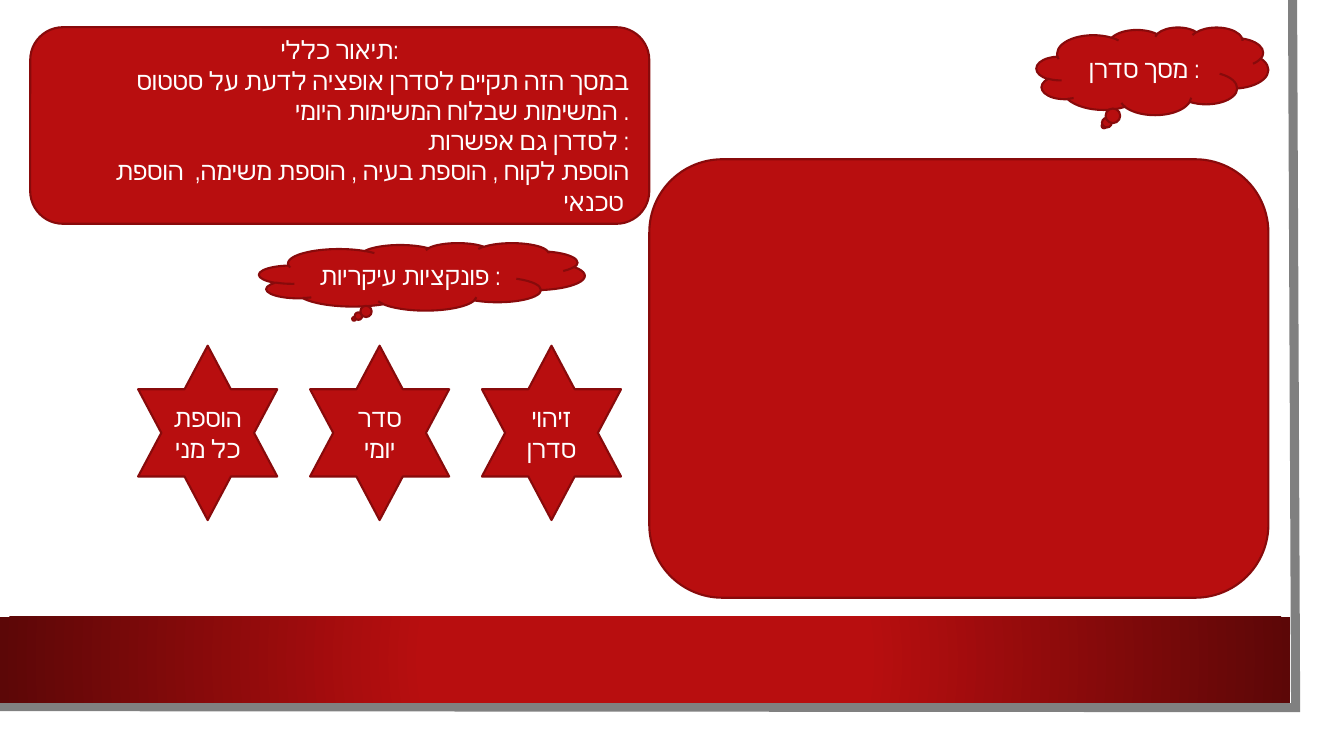
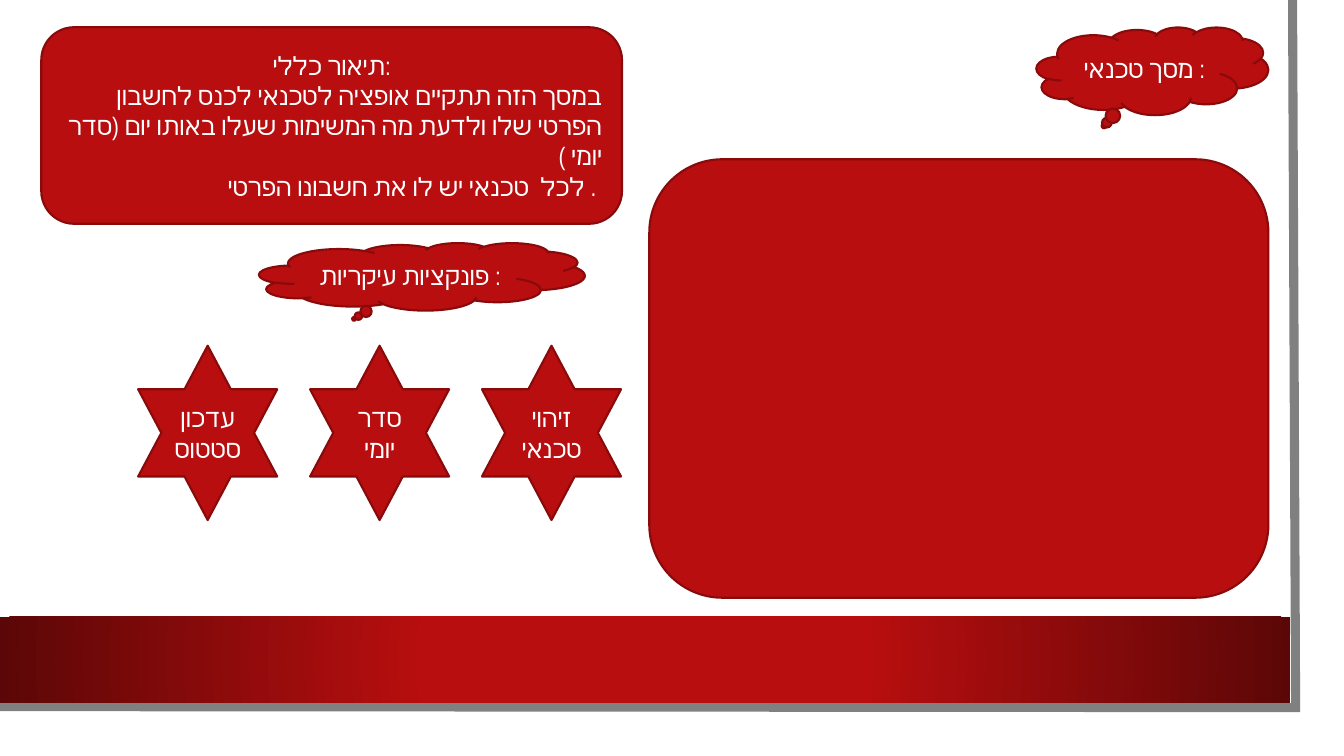
import pptx
import pptx.util
import pptx.dml.color
import pptx.enum.shapes
import pptx.enum.text
import pptx.oxml.ns
import lxml.etree

Inches = pptx.util.Inches
Pt = pptx.util.Pt
qn = pptx.oxml.ns.qn
KIND = pptx.enum.shapes.MSO_SHAPE
ALIGN = pptx.enum.text.PP_ALIGN

COLOR = {"red": "B80E0F", "edge": "880A0B", "dark": "5C0707",
         "gray": "808080", "white": "FFFFFF"}
FONT = {"name": "Arial Narrow", "size": Pt(18), "bold": False}
FRAME = {"word_wrap": True,
         "auto_size": pptx.enum.text.MSO_AUTO_SIZE.NONE,
         "vertical_anchor": pptx.enum.text.MSO_ANCHOR.MIDDLE}
PARA = {"space_before": Pt(0), "space_after": Pt(0), "line_spacing": 1.0}
BOX = {"title": (10.28, 0.27, 2.3, 0.87),
       "panel": (6.44, 1.58, 6.14, 4.35),
       "tasks": (2.57, 2.41, 3.23, 0.67),
       "stars": (1.37, 3.43, 4.79, 1.73),
       "band": (0, 6.12, 12.8, 0.85)}

SLIDES = [
    {"title": "מסך סדרן :",
     "box": (0.3, 0.27, 6.14, 1.95),
     "about": ["תיאור כללי:",
               "במסך הזה תקיים לסדרן אופציה לדעת על סטטוס המשימות שבלוח המשימות היומי .",
               "לסדרן גם אפשרות :",
               "הוספת לקוח , הוספת בעיה , הוספת משימה,  הוספת טכנאי "],
     "stars": [["זיהוי סדרן"], ["סדר", "יומי"], ["הוספת כל מני"]]},
    {"title": "מסך טכנאי :",
     "box": (0.41, 0.27, 5.76, 1.95),
     "about": ["תיאור כללי:",
               "במסך הזה תתקיים אופציה לטכנאי לכנס לחשבון הפרטי שלו ולדעת מה המשימות שעלו באותו יום (סדר יומי )",
               "לכל  טכנאי יש לו את חשבונו הפרטי . "],
     "stars": [["זיהוי טכנאי"], ["סדר", "יומי"], ["עדכון", "סטטוס"]]},
]


def rgb(name):
    return pptx.dml.color.RGBColor.from_string(COLOR[name])


def apply(item, values):
    for key, value in values.items():
        setattr(item, key, value)


def add_tag(parent, tag, **values):
    return lxml.etree.SubElement(parent, qn(tag), values)


def write(shape, lines, rest=ALIGN.CENTER):
    frame = shape.text_frame
    apply(frame, FRAME)
    frame.text = "\n".join(lines)
    for i, para in enumerate(frame.paragraphs):
        apply(para, PARA)
        para.alignment = rest if i else ALIGN.CENTER
        for run in para.runs:
            apply(run.font, FONT)
            run.font.color.rgb = rgb("white")
    for props in shape.element.iter(qn("a:rPr")):
        add_tag(props, "a:cs", typeface=FONT["name"])


def draw(slide, kind, box):
    shape = slide.shapes.add_shape(kind, *map(Inches, box))
    shape.shadow.inherit = False
    shape.fill.solid()
    shape.fill.fore_color.rgb = rgb("red")
    shape.line.color.rgb = rgb("edge")
    shape.line.width = Pt(1.5)
    return shape


def place(slide, holder, box):
    names = ("left", "top", "width", "height")
    apply(holder, dict(zip(names, map(Inches, box))))
    slide.shapes.element.append(holder.element)


def add_title(slide, box, text):
    draw(slide, KIND.CLOUD_CALLOUT, box)
    x, y, w, h = box
    title = slide.shapes.title
    place(slide, title, (x + 0.14 * w, y + 0.15 * h, 0.65 * w, 0.65 * h))
    write(title, [text])


def add_about(slide, box, lines):
    draw(slide, KIND.ROUNDED_RECTANGLE, box)
    x, y, w, h = box
    inset = 0.05 * h
    body = slide.placeholders[1]
    place(slide, body, (x + inset, y + inset, w - 2 * inset, h - 2 * inset))
    write(body, lines, ALIGN.RIGHT)
    for props in body.element.iter(qn("a:pPr")):
        props.set("marL", "0")
        props.set("indent", "0")
        add_tag(props, "a:buNone")


def add_tasks(slide, box):
    cloud = draw(slide, KIND.CLOUD_CALLOUT, box)
    write(cloud, ["פונקציות עיקריות :"])


def add_stars(slide, box, labels):
    x, y, w, h = box
    wide = 1.38
    last = x + w - wide
    step = (w - wide) / (len(labels) - 1)
    for i, lines in enumerate(labels):
        star = draw(slide, KIND.STAR_6_POINT, (last - i * step, y, wide, h))
        write(star, lines)


def add_edge(slide):
    pen = slide.shapes.build_freeform(Inches(12.82), 0)
    corners = [(12.85, 7.02), (-0.03, 7.01)]
    pen.add_line_segments([tuple(map(Inches, spot)) for spot in corners], close=False)
    edge = pen.convert_to_shape()
    edge.shadow.inherit = False
    edge.fill.background()
    edge.line.color.rgb = rgb("gray")
    edge.line.width = Pt(6.5)
    add_tag(next(edge.element.iter(qn("a:ln"))), "a:miter", lim="800000")
    return edge


def add_band(slide, box):
    band = draw(slide, KIND.RECTANGLE, box)
    band.line.fill.background()
    band.fill.gradient()
    stops = [(0.34, "red"), (1, "dark")]
    for stop, (spot, name) in zip(band.fill.gradient_stops, stops):
        stop.position = spot
        stop.color.rgb = rgb(name)
    grad = next(band.element.iter(qn("a:gradFill")))
    grad.remove(grad.find(qn("a:lin")))
    ring = add_tag(grad, "a:path", path="circle")
    add_tag(ring, "a:fillToRect", **dict.fromkeys("ltrb", "50000"))
    return band


def add_decor(slide, master):
    for shape in (add_edge(slide), add_band(slide, BOX["band"])):
        master.shapes.element.append(shape.element)


def add_screen(slide, data):
    add_title(slide, BOX["title"], data["title"])
    draw(slide, KIND.ROUNDED_RECTANGLE, BOX["panel"])
    add_about(slide, data["box"], data["about"])
    add_tasks(slide, BOX["tasks"])
    add_stars(slide, BOX["stars"], data["stars"])


def main():
    deck = pptx.Presentation()
    deck.slide_width = Inches(13.33)
    deck.slide_height = Inches(7.5)
    layout = deck.slide_layouts[1]
    slides = [deck.slides.add_slide(layout) for data in SLIDES]
    add_decor(slides[0], deck.slide_master)
    for slide, data in zip(slides, SLIDES):
        add_screen(slide, data)
    deck.save("out.pptx")


if __name__ == "__main__":
    main()
